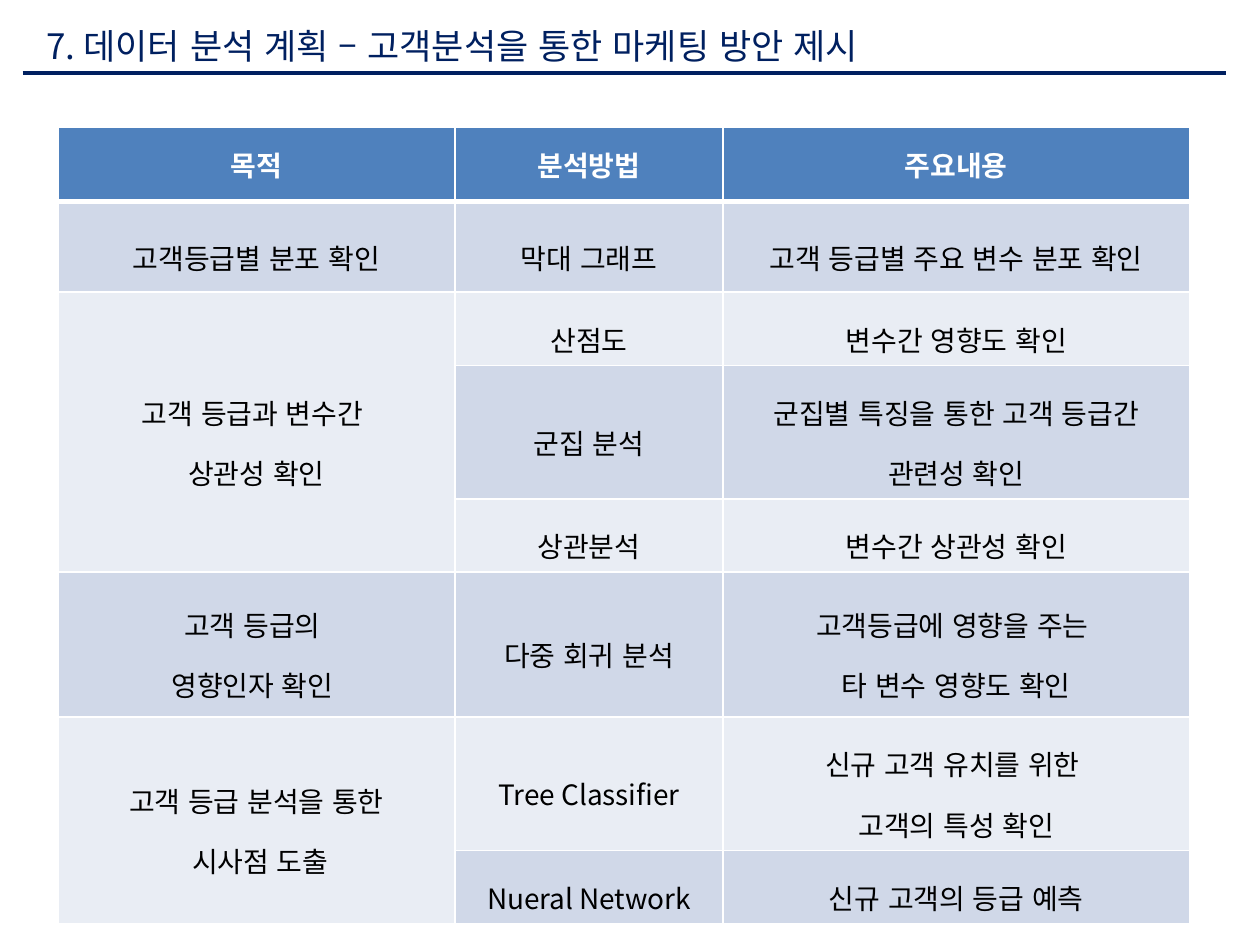
from lxml import etree
from pptx import Presentation
from pptx.dml.color import RGBColor
from pptx.enum.lang import MSO_LANGUAGE_ID
from pptx.enum.shapes import MSO_CONNECTOR
from pptx.enum.text import MSO_ANCHOR, PP_ALIGN
from pptx.oxml.ns import qn
from pptx.util import Inches, Pt

STRAIGHT = MSO_CONNECTOR.STRAIGHT
MIDDLE = MSO_ANCHOR.MIDDLE
LEFT, CENTER = PP_ALIGN.LEFT, PP_ALIGN.CENTER
KOREAN = MSO_LANGUAGE_ID.KOREAN
FONT = "Noto Sans CJK KR"
COLORS = {
    "navy": "002060",
    "header": "4F81BD",
    "dark_band": "D0D8E8",
    "light_band": "E9EDF4",
    "white": "FFFFFF",
    "black": "000000",
}


def write_text(text_frame, text, size=16, color="black", bold=False, align=CENTER, spacing=None):
    for index, line in enumerate(text.split("\n")):
        paragraph = text_frame.paragraphs[0] if index == 0 else text_frame.add_paragraph()
        paragraph.alignment = align
        if spacing:
            paragraph.line_spacing = spacing
        run = paragraph.add_run()
        run.text = line
        run.font.size = Pt(size)
        run.font.bold = bold
        run.font.name = FONT
        run.font.language_id = KOREAN
        run.font.color.rgb = RGBColor.from_string(COLORS[color])
        etree.SubElement(run.font._element, qn("a:ea"), typeface=FONT)


def set_borders(cell, widths):
    properties = cell._tc.get_or_add_tcPr()
    for index, (side, width) in enumerate(widths.items()):
        line = etree.Element(qn(f"a:ln{side}"), w=str(Pt(width)))
        fill = etree.SubElement(line, qn("a:solidFill"))
        etree.SubElement(fill, qn("a:srgbClr"), val=COLORS["white"])
        properties.insert(index, line)


presentation = Presentation()
presentation.slide_width = Inches(10)
presentation.slide_height = Inches(7.5)
slide = presentation.slides.add_slide(presentation.slide_layouts[6])

title = slide.shapes.add_textbox(Inches(0.27), Inches(0.15), Inches(7.85), Inches(0.43))
title.text_frame.word_wrap = True
title.text_frame.vertical_anchor = MIDDLE
write_text(title.text_frame, "7. 데이터 분석 계획 – 고객분석을 통한 마케팅 방안 제시",
           size=20, color="navy", align=LEFT)

rule = slide.shapes.add_connector(STRAIGHT, Inches(0.18), Inches(0.58), Inches(9.73), Inches(0.58))
rule.line.color.rgb = RGBColor.from_string(COLORS["navy"])
rule.line.width = Pt(2.25)
etree.SubElement(rule._element.spPr, qn("a:effectLst"))

column_widths = [3.15, 2.13, 3.7]
row_heights = [0.59, 0.72, 0.58, 1.06, 0.58, 1.15, 1.06, 0.58]
plan_rows = [
    ["목적", "분석방법", "주요내용"],
    ["고객등급별 분포 확인", "막대 그래프", "고객 등급별 주요 변수 분포 확인"],
    ["고객 등급과 변수간 \n상관성 확인", "산점도", "변수간 영향도 확인"],
    [None, "군집 분석", "군집별 특징을 통한 고객 등급간 관련성 확인"],
    [None, "상관분석", "변수간 상관성 확인"],
    ["고객 등급의 \n영향인자 확인 ", "다중 회귀 분석", "고객등급에 영향을 주는 \n타 변수 영향도 확인"],
    ["고객 등급 분석을 통한\n 시사점 도출", "Tree Classifier", "신규 고객 유치를 위한 \n고객의 특성 확인"],
    [None, "Nueral Network", "신규 고객의 등급 예측"],
]

table = slide.shapes.add_table(
    len(row_heights), len(column_widths), Inches(0.46), Inches(1.01),
    Inches(sum(column_widths)), Inches(sum(row_heights))).table
for column, width in zip(table.columns, column_widths):
    column.width = Inches(width)
for row, height in zip(table.rows, row_heights):
    row.height = Inches(height)
for first, last in [(2, 4), (6, 7)]:
    table.cell(first, 0).merge(table.cell(last, 0))

for row_index, texts in enumerate(plan_rows):
    is_header = row_index == 0
    band = "header" if is_header else "dark_band" if row_index % 2 else "light_band"
    for column_index, text in enumerate(texts):
        cell = table.cell(row_index, column_index)
        cell.vertical_anchor = MIDDLE
        cell.fill.solid()
        cell.fill.fore_color.rgb = RGBColor.from_string(COLORS[band])
        set_borders(cell, {"L": 1, "R": 1, "T": 3 if row_index == 1 else 1, "B": 3 if is_header else 1})
        if text is None:
            continue
        write_text(cell.text_frame, text, color="white" if is_header else "black",
                   bold=is_header, spacing=None if is_header else 1.5)

presentation.save("out.pptx")
